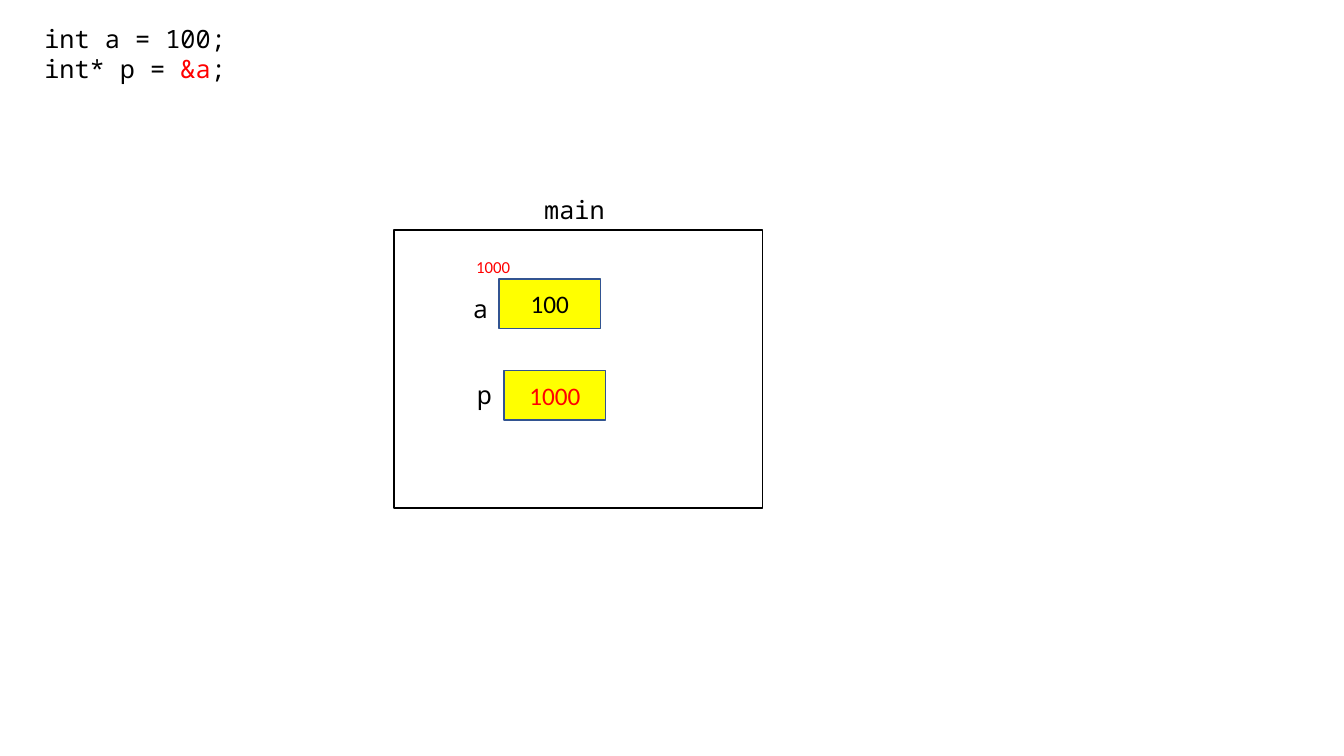
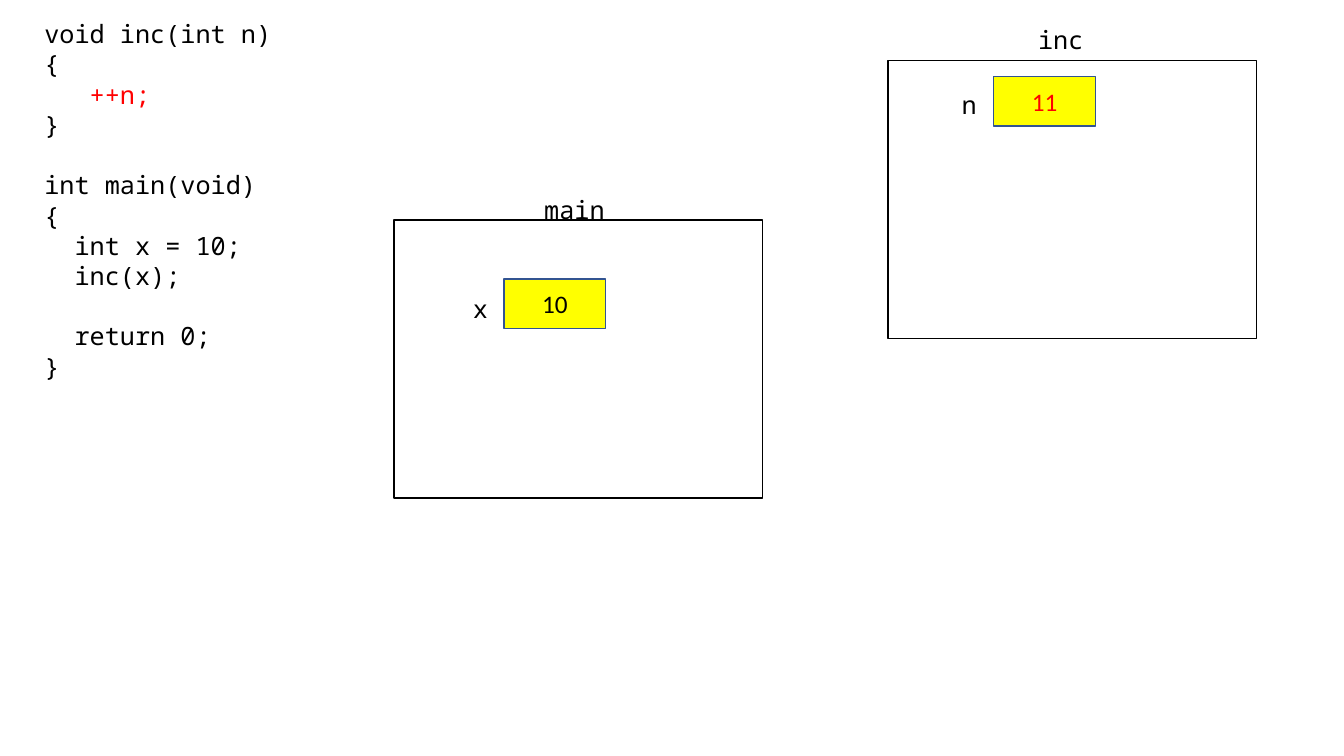
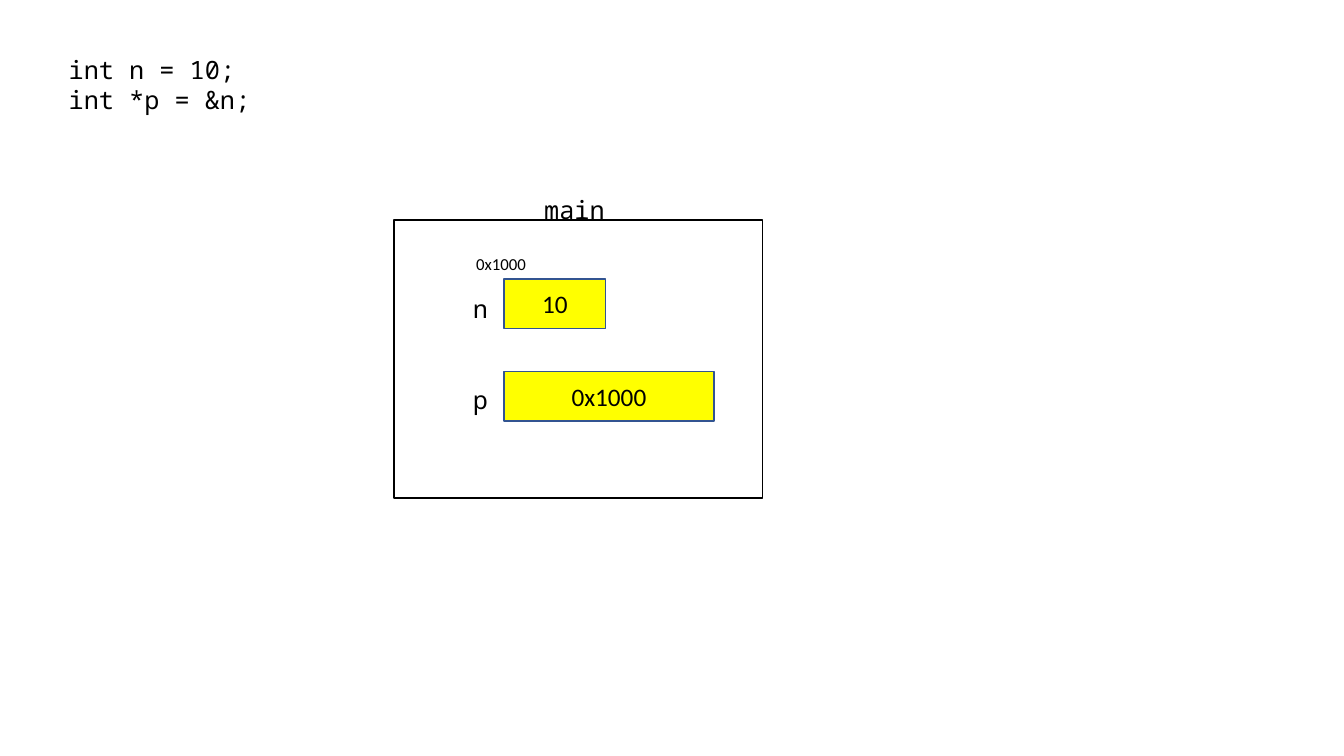
from dataclasses import dataclass

import pptx
import pptx.dml.color
import pptx.enum.shapes
import pptx.enum.text
import pptx.util

COLORS = {"ink": "000000", "mark": "FF0000", "paper": "FFFFFF", "cell": "FFFF00", "edge": "325491"}
SLIDE_WIDTH = pptx.util.Inches(13.33)
SLIDE_HEIGHT = pptx.util.Inches(7.5)
COLUMNS, ROWS = 160, 90
MONO, SANS = "Noto Sans Mono", "Calibri"
CODE_SIZE, ADDRESS_SIZE = 18, 12
CHARACTER = pptx.util.Pt(10.8)
CODE_ROW = pptx.util.Pt(21.6)

FRAME_SIZE = (43.9, 33.1)
CAPTION_LEFT, CAPTION_SIZE = 16.7, (10.6, 4.8)
CELL_WIDTH, WIDE_CELL, CELL_HEIGHT = 12.1, 25, 5.9
LABEL_SIZE = (4.9, 4.8)
ADDRESS_LEFT, ADDRESS_SIZE_BOX = 8.6, (8.9, 3.6)

TEXT_BOX_FORMAT = {
    "word_wrap": True,
    "auto_size": pptx.enum.text.MSO_AUTO_SIZE.SHAPE_TO_FIT_TEXT,
}
CELL_FORMAT = {"word_wrap": True, "vertical_anchor": pptx.enum.text.MSO_ANCHOR.MIDDLE}


@dataclass
class Variable:
    name: str
    value: str
    left: float
    top: float
    width: float = CELL_WIDTH
    color: str = "ink"
    label_gap: float = 4.9
    label_drop: float = 1.1


@dataclass
class CodeLine:
    runs: list
    indent: int = 0
    skipped: int = 0


def code(text, color="ink", indent=0, skipped=0):
    return CodeLine([(text, color)], indent, skipped)


def rgb(color):
    return pptx.dml.color.RGBColor.from_string(COLORS[color])


def apply_format(target, values):
    for key, value in values.items():
        setattr(target, key, value)


def place(box):
    left, top, width, height = box
    column, row = SLIDE_WIDTH / COLUMNS, SLIDE_HEIGHT / ROWS
    return [round(n) for n in (left * column, top * row, width * column, height * row)]


def write_runs(paragraph, runs, font_name, size):
    for text, color in runs:
        run = paragraph.add_run()
        run.text = text
        apply_format(run.font, {"name": font_name, "size": pptx.util.Pt(size)})
        run.font.color.rgb = rgb(color)


def add_text(slide, box, lines, font_name=MONO, size=CODE_SIZE):
    frame = slide.shapes.add_textbox(*place(box)).text_frame
    apply_format(frame, TEXT_BOX_FORMAT)
    for index, line in enumerate(lines):
        paragraph = frame.add_paragraph() if index else frame.paragraphs[0]
        if line.skipped:
            paragraph.space_before = line.skipped * CODE_ROW
        if line.indent:
            paragraph._p.get_or_add_pPr().set("marL", str(line.indent * CHARACTER))
        write_runs(paragraph, line.runs, font_name, size)


def add_box(slide, box, fill, edge):
    shape = slide.shapes.add_shape(pptx.enum.shapes.MSO_SHAPE.RECTANGLE, *place(box))
    shape.shadow.inherit = False
    shape.fill.solid()
    shape.fill.fore_color.rgb = rgb(fill)
    shape.line.color.rgb = rgb(edge)
    shape.line.width = pptx.util.Pt(1)
    return shape


def add_variable(slide, origin, variable):
    left, top = origin[0] + variable.left, origin[1] + variable.top
    cell = add_box(slide, (left, top, variable.width, CELL_HEIGHT), "cell", "edge")
    apply_format(cell.text_frame, CELL_FORMAT)
    paragraph = cell.text_frame.paragraphs[0]
    paragraph.alignment = pptx.enum.text.PP_ALIGN.CENTER
    write_runs(paragraph, [(variable.value, variable.color)], SANS, CODE_SIZE)
    label_box = (left - variable.label_gap, top + variable.label_drop, *LABEL_SIZE)
    add_text(slide, label_box, [code(variable.name)])


def add_stack_frame(slide, origin, function_name, caption_rise, variables):
    left, top = origin
    add_box(slide, (*origin, *FRAME_SIZE), "paper", "ink")
    caption_box = (left + CAPTION_LEFT, top - caption_rise, *CAPTION_SIZE)
    add_text(slide, caption_box, [code(function_name)])
    for variable in variables:
        add_variable(slide, origin, variable)


def add_address(slide, origin, top, address, color):
    box = (origin[0] + ADDRESS_LEFT, origin[1] + top, *ADDRESS_SIZE_BOX)
    add_text(slide, box, [code(address, color)], SANS, ADDRESS_SIZE)


def build_pointer_slide(slide):
    main_frame = (46.9, 27.4)
    add_text(slide, (4.1, 2.2, 55.3, 8.5), [
        code("int a = 100;"),
        CodeLine([("int* p = ", "ink"), ("&a", "mark"), (";", "ink")]),
    ])
    add_stack_frame(slide, main_frame, "main", 4.9, [
        Variable("a", "100", 12.5, 5.8, label_gap=4.3),
        Variable("p", "1000", 13.1, 16.7, color="mark", label_gap=4.4, label_drop=0.5),
    ])
    add_address(slide, main_frame, 2.6, "1000", "mark")


def build_call_by_value_slide(slide):
    add_text(slide, (4.1, 1.6, 38.6, 44.9), [
        code("void inc(int n)"),
        code("{"),
        code("++n;", "mark", indent=3),
        code("}"),
        code("int main(void)", skipped=1),
        code("{"),
        code("int x = 10;", indent=2),
        code("inc(x);", indent=2),
        code("return 0;", indent=2, skipped=1),
        code("}"),
    ])
    add_stack_frame(slide, (46.9, 26.2), "main", 3.7, [Variable("x", "10", 13.1, 7)])
    add_stack_frame(slide, (105.7, 7.2), "inc", 4.9, [
        Variable("n", "11", 12.6, 1.9, color="mark", label_gap=5, label_drop=1),
    ])


def build_hex_address_slide(slide):
    main_frame = (46.9, 26.2)
    add_stack_frame(slide, main_frame, "main", 3.7, [
        Variable("n", "10", 13.1, 7),
        Variable("p", "0x1000", 13.1, 18, width=WIDE_CELL, label_drop=1),
    ])
    add_text(slide, (7, 5.9, 28.6, 8.5), [code("int n = 10;"), code("int *p = &n;")])
    add_address(slide, main_frame, 3.4, "0x1000", "ink")


def main():
    deck = pptx.Presentation()
    apply_format(deck, {"slide_width": SLIDE_WIDTH, "slide_height": SLIDE_HEIGHT})
    for build in (build_pointer_slide, build_call_by_value_slide, build_hex_address_slide):
        build(deck.slides.add_slide(deck.slide_layouts[6]))
    deck.save("out.pptx")


if __name__ == "__main__":
    main()
